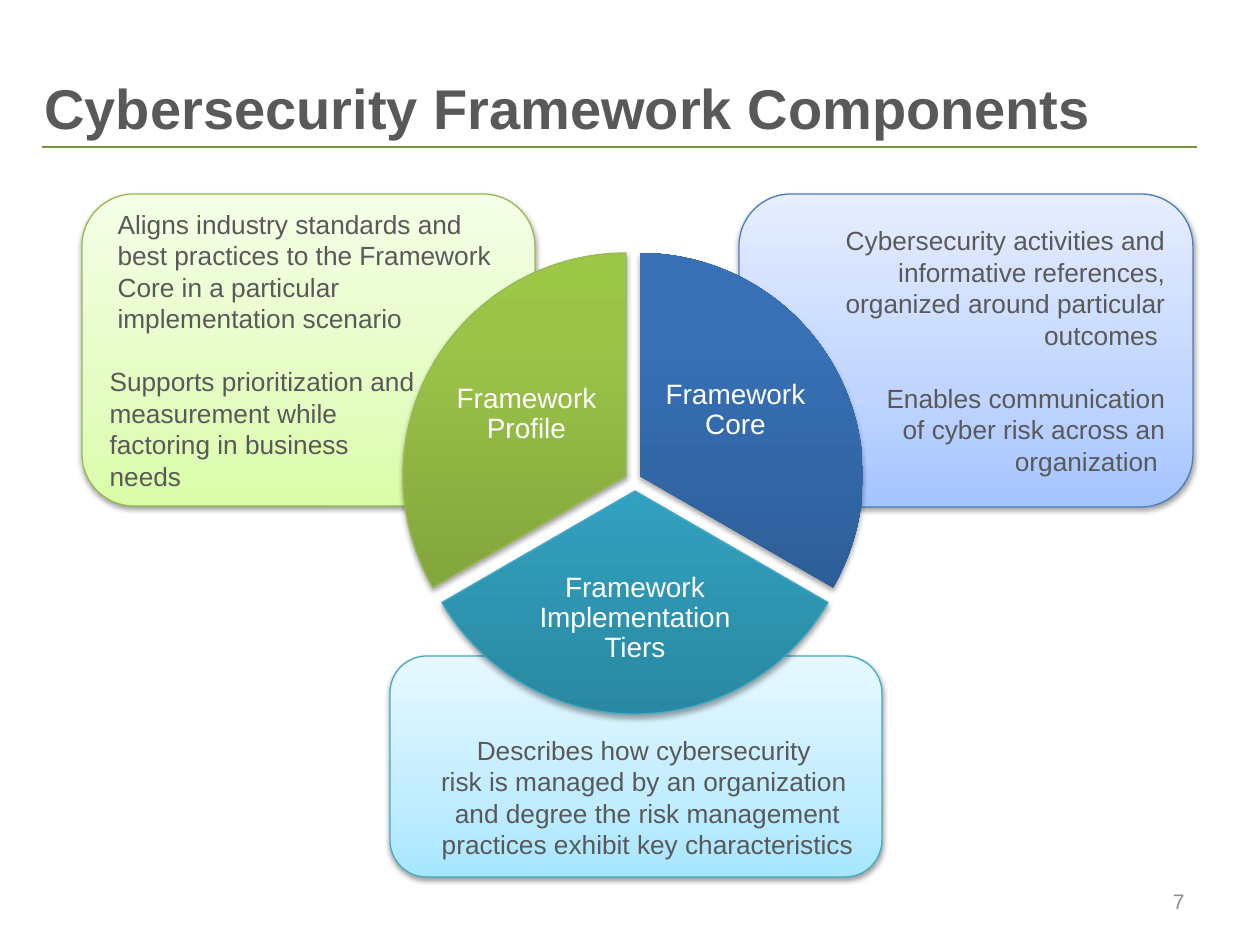
"""Build the slide on the three components of the cybersecurity framework."""
from lxml.etree import SubElement
from pptx import Presentation
from pptx.dml.color import RGBColor
from pptx.enum.shapes import MSO_CONNECTOR, MSO_SHAPE
from pptx.enum.text import MSO_ANCHOR, PP_ALIGN
from pptx.oxml.ns import qn
from pptx.util import Emu, Pt

COLORS = {
    "text": "595959", "label": "FFFFFF", "number": "8C8C8C", "rule": "77933C",
    "green": "98B955", "blue": "4B7EBC", "teal": "46AAC5", "shadow": "000000",
}
GRADIENTS = {
    "teal card": [(0, "A7E6FF"), (35, "C1EDFF"), (100, "E7F8FF")],
    "green card": [(0, "DAFDA7"), (35, "E4FCC2"), (100, "F5FFE7")],
    "blue card": [(0, "A4C4FF"), (35, "BFD4FF"), (100, "E6EEFF")],
    "blue slice": [(0, "2A568B"), (80, "3770B5"), (100, "3570B8")],
    "teal slice": [(0, "2A88A2"), (80, "37B1D2"), (100, "34B4D6")],
    "green slice": [(0, "779737"), (80, "9BC348"), (100, "9DC746")],
}
FONT = "Arial"
SLICE_SIZE = 446
TITLE = "Cybersecurity Framework Components"
PAGE_NUMBER = "7"

# Each paragraph: text, left margin px, first-line indent px.
CARDS = [
    ("teal", (390, 656, 492, 221), PP_ALIGN.CENTER, MSO_ANCHOR.BOTTOM, [
        ("Describes how cybersecurity \vrisk is managed by an organization \v"
         "and degree the risk management practices exhibit key characteristics", 23, 0),
    ]),
    ("green", (82, 194, 453, 312), PP_ALIGN.LEFT, MSO_ANCHOR.MIDDLE, [
        ("Aligns industry standards and best practices to the Framework Core "
         "in a particular implementation scenario", 8, 0),
        ("Supports prioritization and measurement while \v"
         "factoring in business \vneeds", 0, 0),
    ]),
    ("blue", (739, 194, 454, 313), PP_ALIGN.RIGHT, MSO_ANCHOR.MIDDLE, [
        ("Cybersecurity activities and informative references, organized around "
         "particular outcomes ", 30, -30),
        ("Enables communication of cyber risk across an organization ", 118, 0),
    ]),
]
SLICES = [
    ("blue", None, (417, 253), (270, 30), "Framework Core", (660, 336, 151, 149)),
    ("teal", "teal", (412, 268), (30, 150), "Framework Implementation Tiers",
     (534, 549, 202, 139)),
    ("green", "green", (403, 253), (150, 270), "Framework Profile", (451, 340, 151, 149)),
]


def px(value):
    return Emu(round(value * 914400 / 126))


def rgb(name):
    return RGBColor.from_string(COLORS[name])


def add_color(parent, value):
    return SubElement(parent, qn("a:srgbClr"), val=value)


def decorate(shape, gradient, line, alpha, distance):
    shape.fill.gradient()
    shape.fill.gradient_angle = 90
    stops = shape._element.spPr.find(qn("a:gradFill")).find(qn("a:gsLst"))
    for stop in list(stops):
        stops.remove(stop)
    for position, value in GRADIENTS[gradient]:
        add_color(SubElement(stops, qn("a:gs"), pos=str(position * 1000)), value)
    if line:
        shape.line.color.rgb = rgb(line)
        shape.line.width = Pt(0.75)
    else:
        shape.line.fill.background()
    shape.shadow.inherit = False
    effects = shape._element.spPr.find(qn("a:effectLst"))
    shadow = SubElement(effects, qn("a:outerShdw"), blurRad="40000", dist=str(distance),
                        dir="5400000", rotWithShape="0")
    SubElement(add_color(shadow, COLORS["shadow"]), qn("a:alpha"), val=str(alpha * 1000))


def format_paragraph(para, size, color, align, bold=False):
    para.alignment = align
    for span in para.runs:
        span.font.name = FONT
        span.font.size = Pt(size)
        span.font.bold = bold
        span.font.color.rgb = rgb(color)


def add_text(slide, place, text, size, color, align, anchor, bold=False):
    box = slide.shapes.add_textbox(*map(px, place))
    frame = box.text_frame
    frame.word_wrap = True
    frame.vertical_anchor = anchor
    frame.text = text
    format_paragraph(frame.paragraphs[0], size, color, align, bold)
    return frame


def add_card(slide, hue, place, align, anchor, paragraphs):
    card = slide.shapes.add_shape(MSO_SHAPE.ROUNDED_RECTANGLE, *map(px, place))
    decorate(card, f"{hue} card", hue, 38, 20000)
    frame = card.text_frame
    frame.word_wrap = True
    frame.vertical_anchor = anchor
    for index, (text, margin, indent) in enumerate(paragraphs):
        para = frame.add_paragraph() if index else frame.paragraphs[0]
        para.text = text
        properties = para._p.get_or_add_pPr()
        properties.set("marL", str(px(margin)))
        properties.set("indent", str(px(indent)))
        format_paragraph(para, 15, "text", align)
        if index:
            para.space_before = Pt(18)


def add_slice(slide, hue, line, corner, angles, label, label_place):
    pie = slide.shapes.add_shape(MSO_SHAPE.PIE, *map(px, (*corner, SLICE_SIZE, SLICE_SIZE)))
    for index, angle in enumerate(angles):
        pie.adjustments[index] = angle * 0.6
    decorate(pie, f"{hue} slice", line, 35, 23000)
    frame = add_text(slide, label_place, label, 16, "label", PP_ALIGN.CENTER, MSO_ANCHOR.MIDDLE)
    frame.margin_left = frame.margin_right = frame.margin_top = frame.margin_bottom = px(2)
    frame.paragraphs[0].line_spacing = 0.9


def main():
    deck = Presentation()
    deck.slide_width, deck.slide_height = px(1260), px(945)
    slide = deck.slides.add_slide(deck.slide_layouts[6])

    rule = slide.shapes.add_connector(MSO_CONNECTOR.STRAIGHT, *map(px, (42, 147, 1197, 147)))
    rule.line.color.rgb = rgb("rule")
    rule.line.width = Pt(0.75)
    SubElement(rule._element.spPr, qn("a:effectLst"))

    title = add_text(slide, (32, 42, 1165, 105), TITLE, 32, "text",
                     PP_ALIGN.LEFT, MSO_ANCHOR.BOTTOM, bold=True)
    title.paragraphs[0].line_spacing = Pt(26)
    for card in CARDS:
        add_card(slide, *card)
    for piece in SLICES:
        add_slice(slide, *piece)
    add_text(slide, (903, 876, 294, 50), PAGE_NUMBER, 12, "number",
             PP_ALIGN.RIGHT, MSO_ANCHOR.MIDDLE)
    deck.save("out.pptx")


if __name__ == "__main__":
    main()
